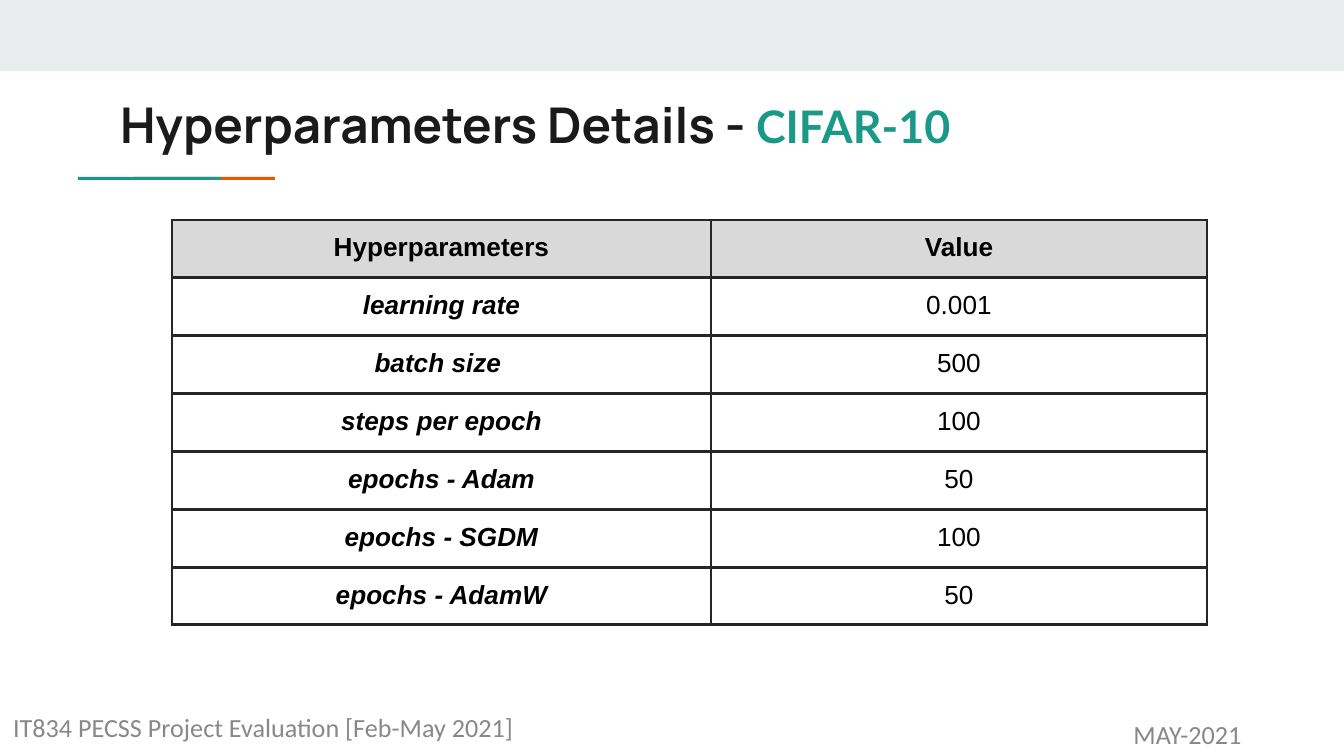
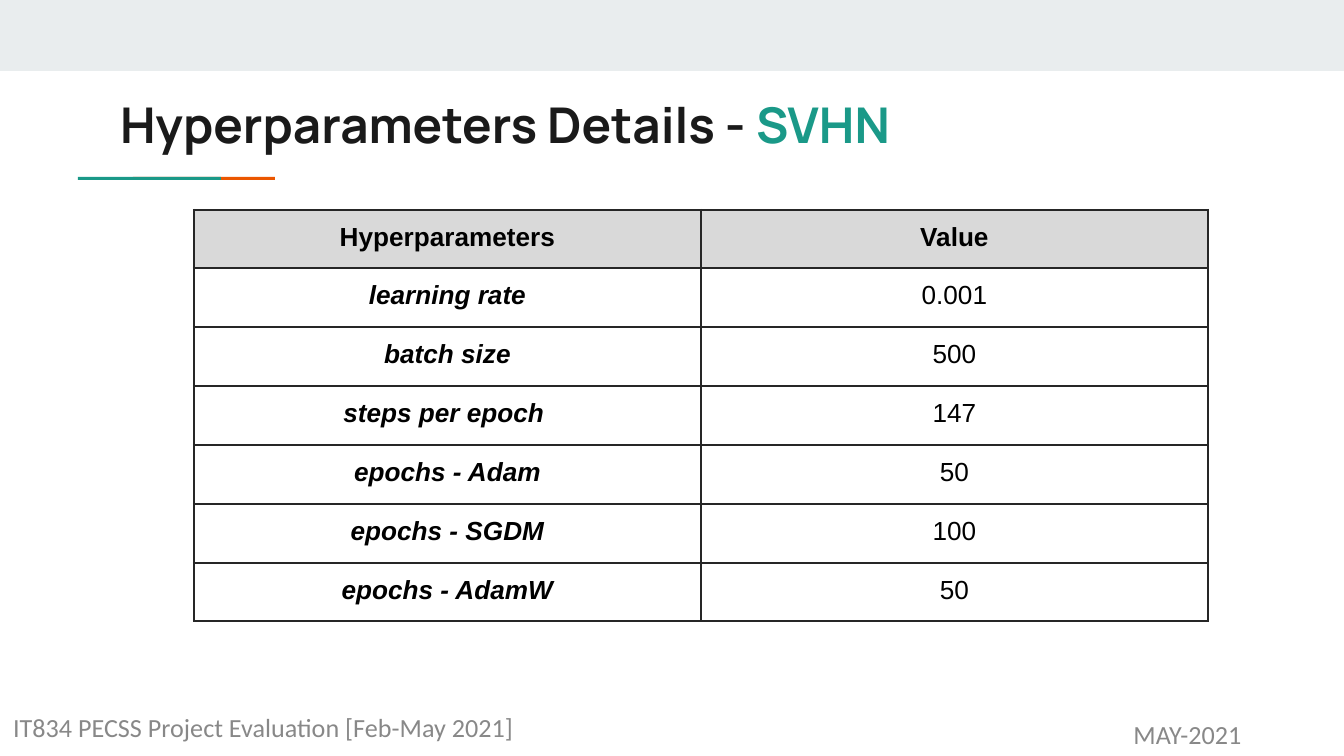
from lxml import etree
from pptx import Presentation
from pptx import util as u
from pptx.dml.color import RGBColor
from pptx.enum import shapes, text
from pptx.oxml import ns

PX = 914400 / 134.4
SLIDE_SIZE = 1344, 756
COLORS = {"band": "E9EDEE", "teal": "1A9988", "orange": "EB5600", "title": "1A1A1A",
          "footer": "888888", "ink": "000000", "header": "D9D9D9", "border": "262626"}
BORDER_PT = 1.5
PAD, SLIM_PAD = 13, 7

TITLE = "Hyperparameters Details - "
TITLE_BOX = 107, 81, 1130, 81
TITLE_FONT = {"name": "Manrope", "size": u.Pt(26.4), "bold": True}
HEADINGS = "Hyperparameters", "Value"
CELL_FONT = {"name": "Arial", "size": u.Pt(14)}
FOOTER_FONT = {"name": "Calibri", "size": u.Pt(14)}
BARS = [("band", (0, 0, 1344, 71)),
        ("orange", (133, 177, 142, 3)),
        ("teal", (78, 177, 143, 3))]
FOOTERS = [("IT834 PECSS Project Evaluation [Feb-May 2021]", (0, 700, 918, 55), text.PP_ALIGN.LEFT),
           ("MAY-2021", (1031, 712, 313, 45), text.PP_ALIGN.CENTER)]
DATASETS = [
    {"name": "CIFAR-10", "name_font": {"name": "Lato", "size": u.Pt(24), "bold": True},
     "corner": (172, 220), "columns": (539, 496), "edge_row": 57, "inner_row": 58,
     "settings": [("learning rate", "0.001"), ("batch size ", "500"),
                  ("steps per epoch", "100"), ("epochs - Adam", "50"),
                  ("epochs - SGDM", "100"), ("epochs - AdamW", "50")]},
    {"name": "SVHN", "name_font": TITLE_FONT,
     "corner": (194, 210), "columns": (507, 507), "edge_row": 58, "inner_row": 59,
     "settings": [("learning rate", "0.001"), ("batch size", "500"),
                  ("steps per epoch ", "147"), ("epochs - Adam", "50"),
                  ("epochs - SGDM", "100"), ("epochs - AdamW", "50")]},
]


def px(*lengths):
    return [u.Emu(round(length * PX)) for length in lengths]


def rgb(color):
    return RGBColor.from_string(COLORS[color])


def apply(target, values):
    for key, value in values.items():
        setattr(target, key, value)


def margins(across, down):
    across, down = px(across, down)
    return {"margin_left": across, "margin_right": across, "margin_top": down, "margin_bottom": down}


def write(paragraph, words, font, color, align=text.PP_ALIGN.LEFT):
    paragraph.alignment = align
    run = paragraph.add_run()
    run.text = words
    apply(run.font, font)
    run.font.color.rgb = rgb(color)


def add_bars(slide):
    for color, box in BARS:
        bar = slide.shapes.add_shape(shapes.MSO_SHAPE.RECTANGLE, *px(*box))
        bar.shadow.inherit = False
        bar.fill.solid()
        bar.fill.fore_color.rgb = rgb(color)
        bar.line.fill.background()


def add_title(slide, dataset):
    title = slide.shapes.title
    apply(title, dict(zip(("left", "top", "width", "height"), px(*TITLE_BOX))))
    apply(title.text_frame, {"word_wrap": True, "auto_size": text.MSO_AUTO_SIZE.NONE,
                             "vertical_anchor": text.MSO_ANCHOR.TOP, **margins(PAD, PAD)})
    heading = title.text_frame.paragraphs[0]
    write(heading, TITLE, TITLE_FONT, "title")
    write(heading, dataset["name"], dataset["name_font"], "teal")


def add_footers(slide):
    for words, box, align in FOOTERS:
        frame = slide.shapes.add_textbox(*px(*box)).text_frame
        apply(frame, {"word_wrap": True, "vertical_anchor": text.MSO_ANCHOR.MIDDLE,
                      **margins(PAD, SLIM_PAD)})
        write(frame.paragraphs[0], words, FOOTER_FONT, "footer", align)


def outline(cell):
    properties = cell._tc.get_or_add_tcPr()
    for position, side in enumerate(("lnL", "lnR", "lnT", "lnB")):
        line = etree.Element(ns.qn(f"a:{side}"), w=str(u.Pt(BORDER_PT)))
        fill = etree.SubElement(line, ns.qn("a:solidFill"))
        etree.SubElement(fill, ns.qn("a:srgbClr"), val=COLORS["border"])
        properties.insert(position, line)


def add_settings(slide, dataset):
    rows = [HEADINGS, *dataset["settings"]]
    edge = dataset["edge_row"]
    heights = [edge, *[dataset["inner_row"]] * (len(rows) - 2), edge]
    widths = dataset["columns"]
    size = sum(widths), sum(heights)
    table = slide.shapes.add_table(len(rows), len(widths), *px(*dataset["corner"], *size)).table
    apply(table, {"first_row": False, "horz_banding": False})
    for column, width in zip(table.columns, px(*widths)):
        column.width = width
    for r, (row, height) in enumerate(zip(table.rows, px(*heights))):
        row.height = height
        for c, cell in enumerate(row.cells):
            apply(cell, margins(PAD, PAD))
            if r == 0:
                cell.fill.solid()
                cell.fill.fore_color.rgb = rgb("header")
            else:
                cell.fill.background()
            outline(cell)
            font = {**CELL_FONT, "bold": r == 0 or c == 0, "italic": r > 0 and c == 0}
            write(cell.text_frame.paragraphs[0], rows[r][c], font, "ink", text.PP_ALIGN.CENTER)


def main():
    deck = Presentation()
    deck.slide_width, deck.slide_height = px(*SLIDE_SIZE)
    for dataset in DATASETS:
        slide = deck.slides.add_slide(deck.slide_layouts.get_by_name("Title Only"))
        add_bars(slide)
        add_title(slide, dataset)
        add_footers(slide)
        add_settings(slide, dataset)
    deck.save("out.pptx")


if __name__ == "__main__":
    main()
